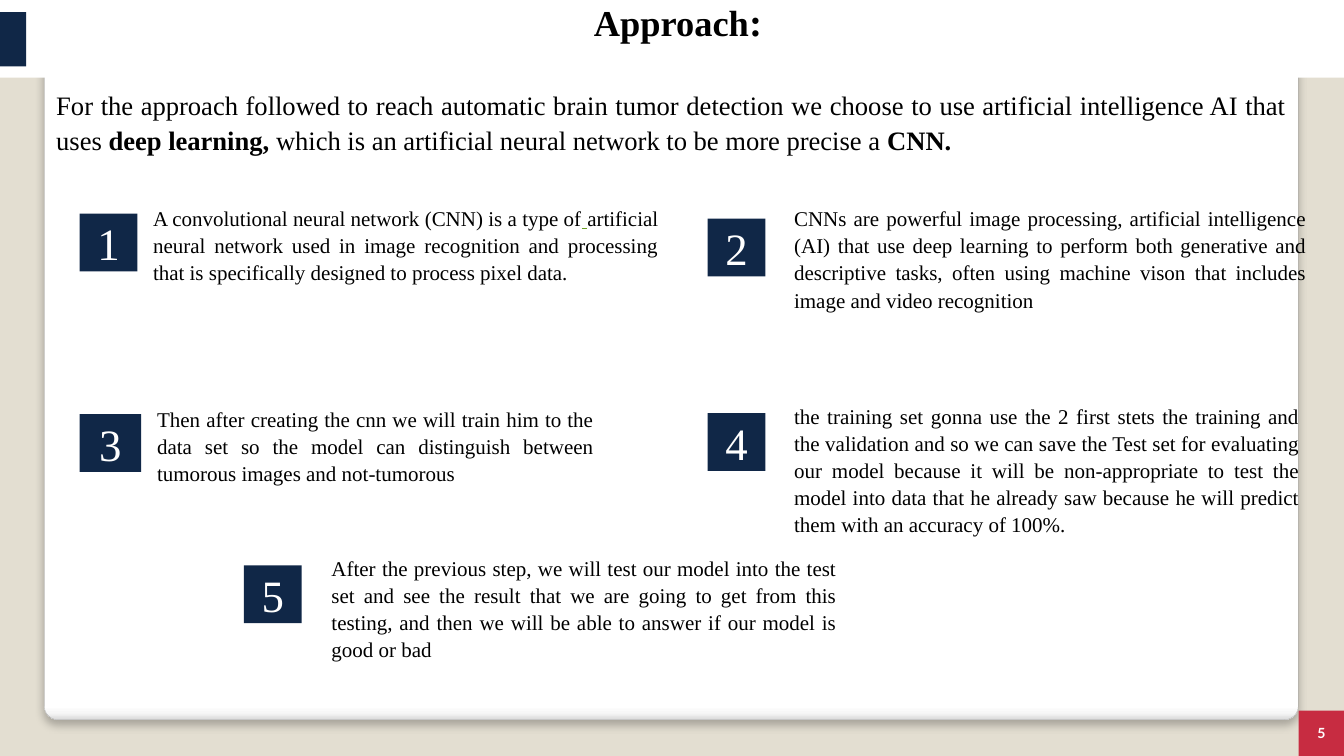
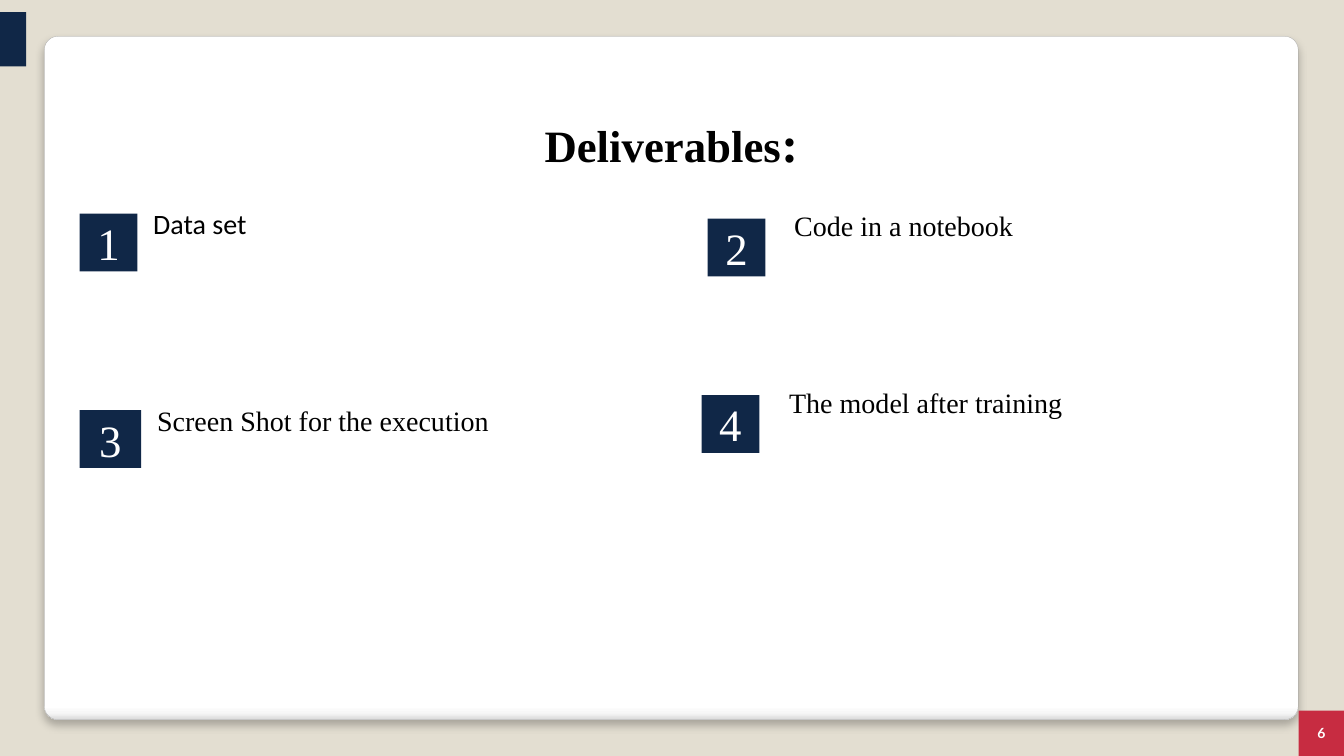
from dataclasses import dataclass

from pptx import Presentation
from pptx.dml.color import RGBColor
from pptx.enum.shapes import MSO_SHAPE as Shape
from pptx.enum.text import MSO_ANCHOR as Anchor, PP_ALIGN as Align
from pptx.oxml import parse_xml
from pptx.oxml.ns import nsdecls
from pptx.util import Inches, Pt

SLIDE_WIDTH, SLIDE_HEIGHT = Inches(13.33), Inches(7.5)
COLUMNS, ROWS = 160, 90
SERIF = "Times New Roman"
COLORS = {
    "background": "E3DED1",
    "white": "FFFFFF",
    "card_fade": "F7F7F7",
    "card_edge": "DADADA",
    "card_line": "A4A4A4",
    "navy": "102747",
    "red": "C72C41",
    "green": "6B9F25",
    "black": "000000",
}
CARD_STOPS = [(0, "white"), (98, "white"), (99, "card_fade"), (100, "card_edge")]
BADGE_SIZE = 6.88
PAGE_BOX_SIZE = 5.4


@dataclass
class Item:
    left: float
    top: float
    text_width: float
    runs: list
    text_gap: float = 9.24
    text_rise: float = 2.04
    badge_width: float = BADGE_SIZE
    font_name: str = SERIF
    line_spacing: float = 1.08


def rgb(name):
    return RGBColor.from_string(COLORS[name])


def grid(left, top, width, height):
    column, row = SLIDE_WIDTH / COLUMNS, SLIDE_HEIGHT / ROWS
    return [round(n * unit) for n, unit in
            ((left, column), (top, row), (width, column), (height, row))]


def set_frame(shape, anchor, margins):
    frame = shape.text_frame
    frame.word_wrap = True
    frame.vertical_anchor = anchor
    (frame.margin_left, frame.margin_top,
     frame.margin_right, frame.margin_bottom) = [Inches(m) for m in margins]
    return frame


def write_runs(frame, runs, size, color="black", align=Align.CENTER,
               font_name=SERIF, bold=False, line_spacing=1.0):
    paragraph = frame.paragraphs[0]
    paragraph.alignment = align
    paragraph.line_spacing = line_spacing
    font = paragraph.font
    font.name, font.size, font.bold = font_name, Pt(size), bold
    font.color.rgb = rgb(color)
    for text, style in runs:
        run = paragraph.add_run()
        run.text = text
        if "size" in style:
            run.font.size = Pt(style["size"])
        if "bold" in style:
            run.font.bold = style["bold"]
        if "underline" in style:
            run.font.underline = style["underline"]
        if "color" in style:
            run.font.color.rgb = rgb(style["color"])


def add_block(slide, box, color):
    shape = slide.shapes.add_shape(Shape.RECTANGLE, *grid(*box))
    shape.shadow.inherit = False
    shape.fill.solid()
    shape.fill.fore_color.rgb = rgb(color)
    shape.line.fill.background()
    return shape


def add_label(slide, box, color, text, size, **style):
    shape = add_block(slide, box, color)
    frame = set_frame(shape, Anchor.MIDDLE, (0, 0, 0, 0))
    write_runs(frame, [(text, {})], size, color="white", **style)


def add_body(slide, box, runs, size, margins, **style):
    shape = slide.shapes.add_textbox(*grid(*box))
    frame = set_frame(shape, Anchor.TOP, margins)
    write_runs(frame, runs, size, align=Align.JUSTIFY, **style)


def add_card(slide):
    card = slide.shapes.add_shape(Shape.ROUNDED_RECTANGLE,
                                  *grid(5.28, 4.32, 149.28, 81.36))
    card.adjustments[0] = 0.02
    stops = "".join(
        f'<a:gs pos="{position * 1000}"><a:srgbClr val="{COLORS[name]}"/></a:gs>'
        for position, name in CARD_STOPS)
    properties = card._element.spPr
    properties.append(parse_xml(
        f'<a:gradFill {nsdecls("a")} rotWithShape="1"><a:gsLst>{stops}</a:gsLst>'
        '<a:lin ang="5400000" scaled="0"/></a:gradFill>'))
    card.line.color.rgb = rgb("card_line")
    card.line.width = Pt(0.16)
    card.shadow.inherit = False
    effects = properties.find("{*}effectLst")
    effects.append(parse_xml(
        f'<a:outerShdw {nsdecls("a")} blurRad="{Pt(6)}" dist="{Pt(4)}" '
        f'dir="5400000" rotWithShape="0"><a:srgbClr val="{COLORS["black"]}">'
        '<a:alpha val="25000"/></a:srgbClr></a:outerShdw>'))


def add_title(slide, text, box, size, colon_size, margins):
    frame = set_frame(add_block(slide, box, "white"), Anchor.TOP, margins)
    write_runs(frame, [(text, {}), (":", {"size": colon_size})], size,
               bold=True, line_spacing=0.9)


def add_page(presentation, number, **title):
    slide = presentation.slides.add_slide(presentation.slide_layouts[6])
    add_card(slide)
    add_title(slide, **title)
    add_block(slide, (0, 1.44, 3.12, 6.48), "navy")
    add_label(slide, (COLUMNS - PAGE_BOX_SIZE, ROWS - PAGE_BOX_SIZE,
                      PAGE_BOX_SIZE, PAGE_BOX_SIZE),
              "red", str(number), 10, font_name="Lato", bold=True)
    return slide


def add_items(slide, items, size):
    for number, item in enumerate(items, 1):
        add_label(slide, (item.left, item.top, item.badge_width, BADGE_SIZE),
                  "navy", str(number), 32)
        add_body(slide, (item.left + item.text_gap, item.top - item.text_rise,
                         item.text_width, 10.92),
                 item.runs, size, (0.1, 0.05, 0.1, 0.05),
                 font_name=item.font_name, line_spacing=item.line_spacing)


def add_approach(presentation):
    slide = add_page(presentation, 5, text="Approach", box=(0, 0, COLUMNS, 9.24),
                     size=26, colon_size=28, margins=(0.12, 0.03, 0, 0))
    add_body(slide, (5.52, 9.12, 148.8, 12), [
        ("For the approach followed to reach automatic brain tumor detection we "
         "choose to use artificial intelligence AI that uses ", {}),
        ("deep learning, ", {"bold": True}),
        ("which is an artificial neural network to be more precise a ", {}),
        ("CNN.", {"bold": True}),
    ], 19, (0.1, 0.1, 0.1, 0.1), line_spacing=1.08)
    add_items(slide, [
        Item(9.48, 25.44, 62.52, [
            ("A convolutional neural network (CNN) is a type of", {}),
            (" ", {"color": "green", "underline": True}),
            ("artificial neural network used in image recognition and processing "
             "that is specifically designed to process pixel data.", {}),
        ], text_gap=7.56, text_rise=1.8),
        Item(84.24, 26.04, 63.36, [
            ("CNNs are powerful image processing, artificial intelligence (AI) "
             "that use deep learning to perform both generative and descriptive "
             "tasks, often using machine vison that includes image and video "
             "recognition", {}),
        ], text_gap=9.12, text_rise=2.4),
        Item(9.48, 49.32, 54.36, [
            ("Then after creating the cnn we will train him to the data set so "
             "the model can distinguish between tumorous images and "
             "not-tumorous", {}),
        ], text_gap=8.04, text_rise=1.8, badge_width=7.32),
        Item(84.24, 49.2, 62.52, [
            ("the training set gonna use the 2 first stets the training and the "
             "validation and so we can save the Test set for evaluating our model "
             "because it will be non-appropriate to test the model into data that "
             "he already saw because he will predict them with an accuracy of "
             "100%.", {}),
        ], text_gap=9.12),
        Item(29.04, 67.32, 62.52, [
            ("After the previous step, we will test our model into the test set "
             "and see the result that we are going to get from this testing, and "
             "then we will be able to answer if our model is good or bad", {}),
        ]),
    ], 15)


def add_deliverables(presentation):
    slide = add_page(presentation, 6, text="Deliverables",
                     box=(13.8, 8.16, 134.64, 10.92),
                     size=32, colon_size=36, margins=(0, 0.5, 0.2, 0))
    add_items(slide, [
        Item(9.48, 25.44, 50.52, [("Data set", {})],
             text_gap=7.56, text_rise=1.8, font_name="Calibri"),
        Item(84.24, 26.04, 63.36, [("Code in a notebook", {})],
             text_gap=9.12, text_rise=2.4, line_spacing=1.15),
        Item(9.48, 48.84, 54.36, [("Screen Shot for the execution", {})],
             text_gap=8.04, text_rise=1.68, badge_width=7.32),
        Item(83.52, 47.04, 62.52, [("The model after training", {})]),
    ], 20)


def main():
    presentation = Presentation()
    presentation.slide_width, presentation.slide_height = SLIDE_WIDTH, SLIDE_HEIGHT
    background = presentation.slide_master.background.fill
    background.solid()
    background.fore_color.rgb = rgb("background")
    add_approach(presentation)
    add_deliverables(presentation)
    presentation.save("out.pptx")


if __name__ == "__main__":
    main()
